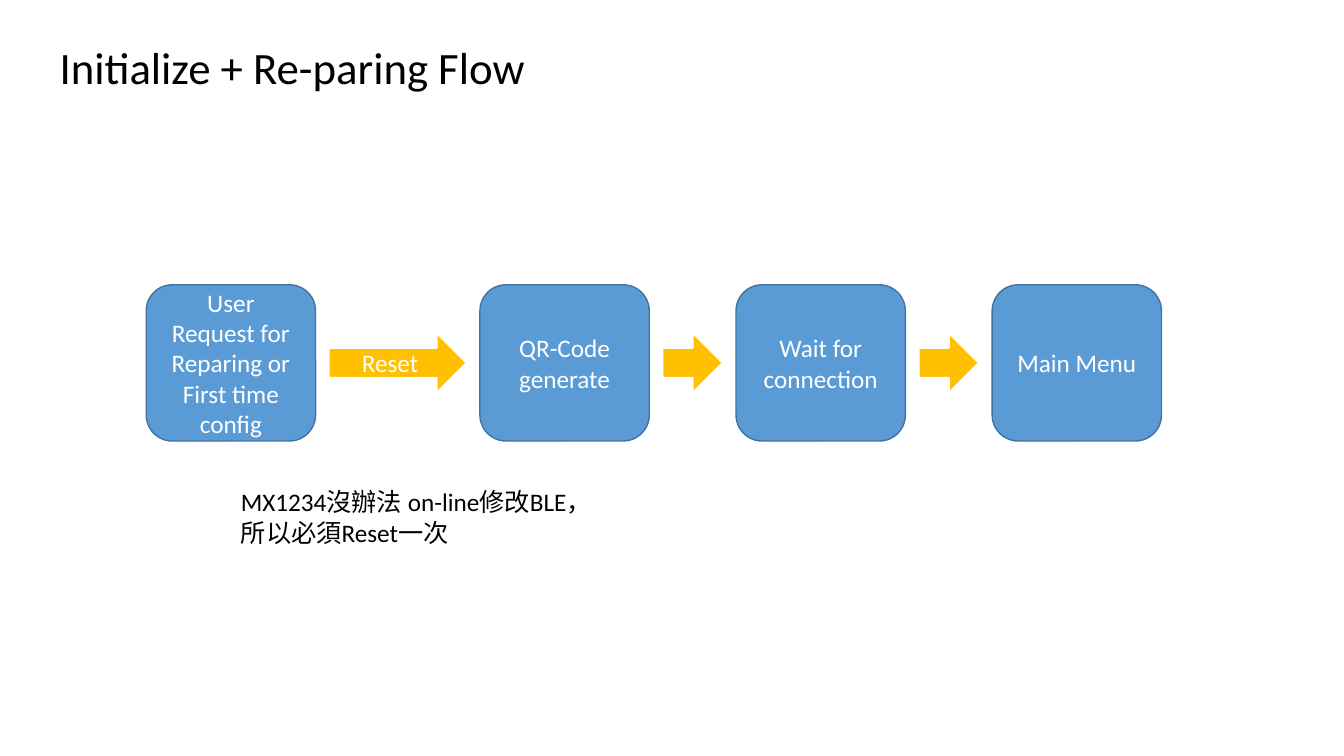
import pptx
import pptx.util
import pptx.dml.color
import pptx.enum.shapes
import pptx.enum.text

Inch = pptx.util.Inches
Shape = pptx.enum.shapes.MSO_SHAPE
Align = pptx.enum.text.PP_ALIGN
Anchor = pptx.enum.text.MSO_ANCHOR


def paint(color, value):
    color.rgb = pptx.dml.color.RGBColor.from_string(value)


def write(shape, text, size=18, color="000000", align=Align.LEFT,
          anchor=Anchor.TOP, wrap=True):
    frame = shape.text_frame
    frame.text = text
    frame.word_wrap = wrap
    frame.auto_size = pptx.enum.text.MSO_AUTO_SIZE.NONE
    frame.vertical_anchor = anchor
    for par in frame.paragraphs:
        par.alignment = align
        par.font.name = "Calibri"
        par.font.size = pptx.util.Pt(size)
        paint(par.font.color, color)


deck = pptx.Presentation()
deck.slide_width, deck.slide_height = Inch(13.33), Inch(7.5)
slide = deck.slides.add_slide(deck.slide_layouts[5])

# Title
title = slide.shapes.title
title.left, title.top = Inch(0.49), Inch(0.34)
title.width, title.height = Inch(4.87), Inch(0.64)
write(title, "Initialize + Re-paring Flow", size=32, wrap=False)

# Flow: steps and arrows alternate along one middle line, with equal gaps
left, mid, gap = 1.45, 3.6, 0.13
step = (Shape.ROUNDED_RECTANGLE, 1.68, 1.55, "5B9BD5", "43739E", 1)
arrow = (Shape.RIGHT_ARROW, 0.6, 0.6, "FFC000", "FFFFFF", 1.5)
long = (Shape.RIGHT_ARROW, 1.37, 0.6, "FFC000", "FFFFFF", 1.5)
flow = [
    (step, "User Request for Reparing or\nFirst time config"),
    (long, "Reset"),
    (step, "QR-Code\ngenerate"),
    (arrow, ""),
    (step, "Wait for connection"),
    (arrow, ""),
    (step, "Main Menu"),
]
for (kind, wide, high, fill, edge, thick), text in flow:
    part = slide.shapes.add_shape(kind, Inch(left), Inch(mid - high / 2),
                                  Inch(wide), Inch(high))
    part.shadow.inherit = False
    part.fill.solid()
    paint(part.fill.fore_color, fill)
    paint(part.line.color, edge)
    part.line.width = pptx.util.Pt(thick)
    if text:
        write(part, text, color="FFFFFF", align=Align.CENTER,
              anchor=Anchor.MIDDLE)
    left += wide + gap

# Note under the reset arrow
note = slide.shapes.add_textbox(Inch(2.29), Inch(4.78), Inch(3.71), Inch(0.71))
write(note, "MX1234沒辦法 on-line修改BLE，\n所以必須Reset一次")

deck.save("out.pptx")
